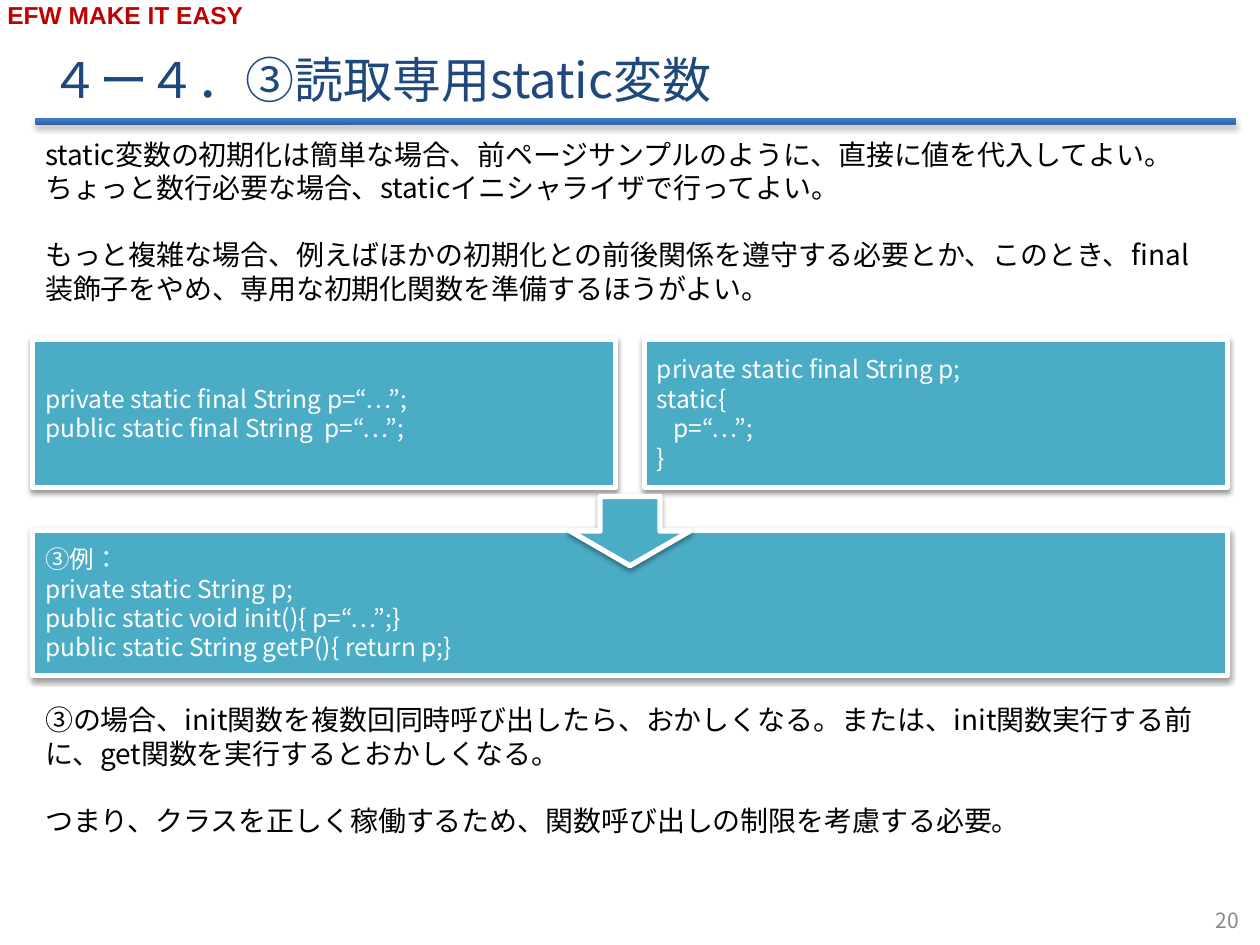
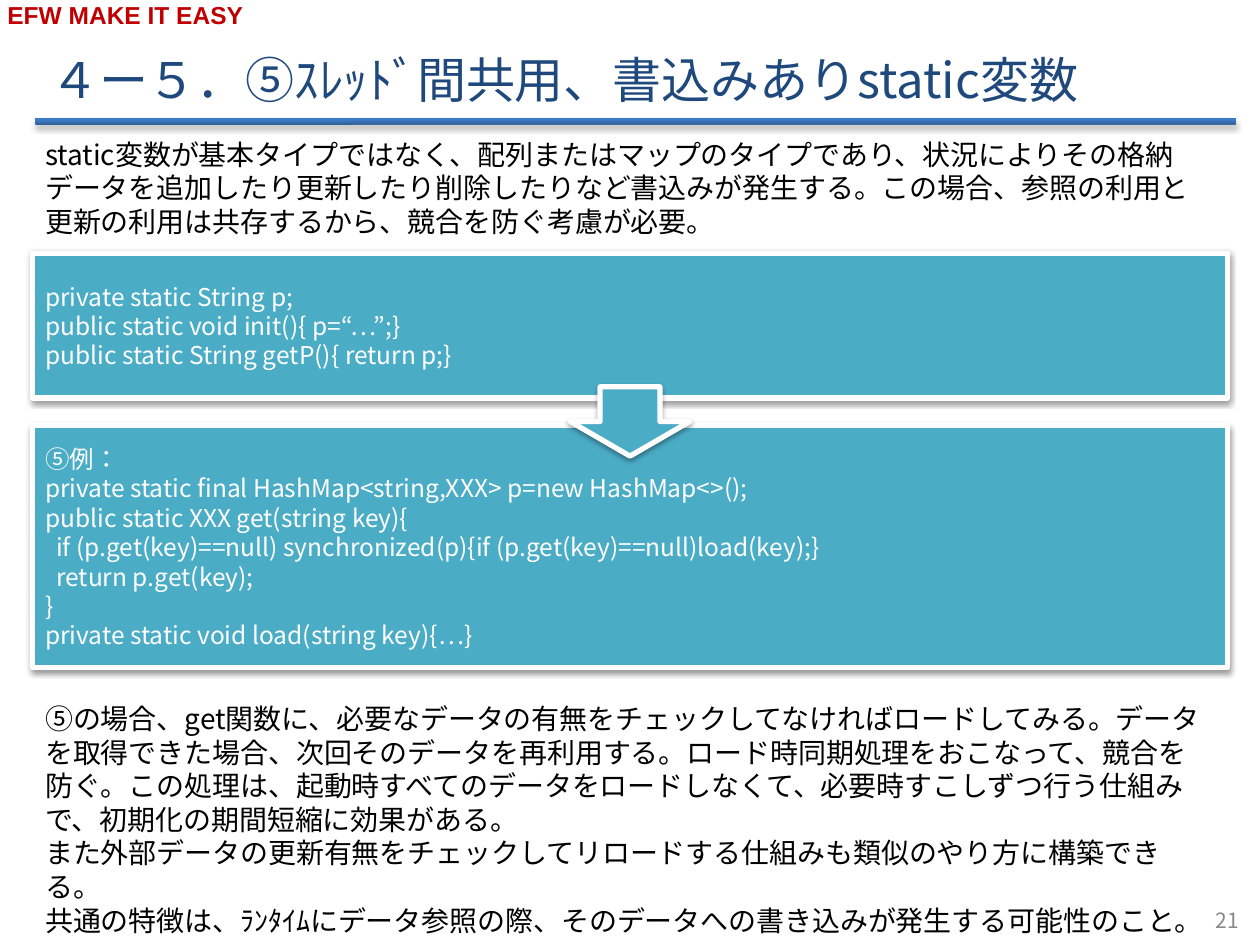
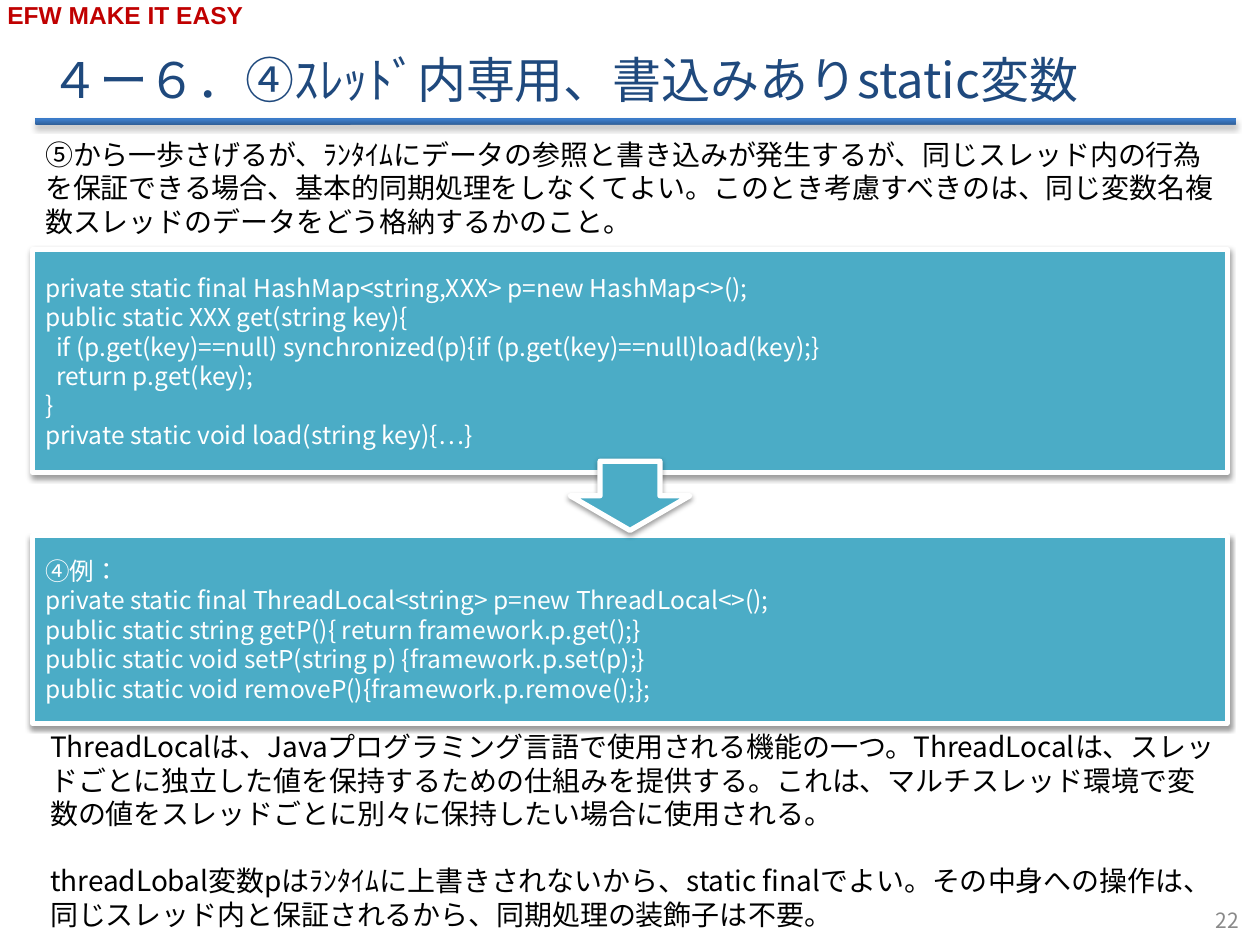
from lxml import etree
from pptx import Presentation
from pptx.dml.color import RGBColor
from pptx.enum.lang import MSO_LANGUAGE_ID
from pptx.enum.shapes import MSO_SHAPE
from pptx.enum.text import MSO_ANCHOR, PP_ALIGN
from pptx.oxml.ns import qn
from pptx.util import Inches, Pt

RECTANGLE, ROUNDED, DOWN_ARROW = MSO_SHAPE.RECTANGLE, MSO_SHAPE.ROUNDED_RECTANGLE, MSO_SHAPE.DOWN_ARROW
TOP, MIDDLE = MSO_ANCHOR.TOP, MSO_ANCHOR.MIDDLE
LEFT, RIGHT = PP_ALIGN.LEFT, PP_ALIGN.RIGHT
JAPANESE = MSO_LANGUAGE_ID.JAPANESE

COLOURS = {
    "title": "1F497D", "brand": "C00000", "number": "898989", "body": "000000",
    "white": "FFFFFF", "code_fill": "4BACC6", "shadow": "000000",
    "rule_dark": "2F5F99", "rule_mid": "3D7CC7", "rule_light": "3A7CCB",
}
RULE_STOPS = [(0, "rule_dark"), (80, "rule_mid"), (100, "rule_light")]
CJK_FONT = "Noto Sans CJK JP"
STYLES = {
    "title": {"size": 28, "name": CJK_FONT, "colour": "title"},
    "brand": {"size": 14, "name": "Arial", "colour": "brand", "bold": True},
    "number": {"size": 12, "name": CJK_FONT, "colour": "number"},
    "body": {"size": 16, "name": CJK_FONT, "colour": "body"},
    "code": {"size": 14, "name": CJK_FONT, "colour": "white"},
}

SLIDE_WIDTH, SLIDE_HEIGHT = 10, 7.5
MARGIN, CONTENT_WIDTH, COLUMN_GAP = 0.26, 9.48, 0.23
ARROW_WIDTH, ARROW_HEIGHT = 0.95, 0.55
BODY_TOP = 1.04
BLANK_LINE = 19.2
FIRST_NUMBER = 20
BRAND = "EFW MAKE IT EASY"

INIT_CODE = [
    "private static String p;",
    "public static void init(){ p=“…”;}",
    "public static String getP(){ return p;}",
]
MAP_CODE = [
    "private static final HashMap<string,XXX> p=new HashMap<>();",
    "public static XXX get(string key){",
    "  if (p.get(key)==null) synchronized(p){if (p.get(key)==null)load(key);}",
    "  return p.get(key);",
    "}",
    "private static void load(string key){…}",
]
DIRECT_CODE = [
    "private static final String p=“…”;",
    "public static final String  p=“…”;",
]
INITIALIZER_CODE = [
    "private static final String p;",
    "static{",
    "   p=“…”;",
    "}",
]
THREAD_LOCAL_CODE = [
    "private static final ThreadLocal<string> p=new ThreadLocal<>();",
    "public static string getP(){ return framework.p.get();}",
    "public static void setP(string p) {framework.p.set(p);}",
    "public static void removeP(){framework.p.remove();};",
]

SLIDES = [
    {
        "title": "４ー４．③読取専用static変数",
        "intro": {"height": 1.45, "gap": BLANK_LINE, "lines": [
            "static変数の初期化は簡単な場合、前ページサンプルのように、直接に値を代入してよい。"
            "ちょっと数行必要な場合、staticイニシャライザで行ってよい。",
            "もっと複雑な場合、例えばほかの初期化との前後関係を遵守する必要とか、このとき、"
            "final装飾子をやめ、専用な初期化関数を準備するほうがよい。",
        ]},
        "notes": {"top": 5.53, "height": 1.18, "gap": BLANK_LINE, "lines": [
            "③の場合、init関数を複数回同時呼び出したら、おかしくなる。"
            "または、init関数実行する前に、get関数を実行するとおかしくなる。",
            "つまり、クラスを正しく稼働するため、関数呼び出しの制限を考慮する必要。",
        ]},
        "before": {"top": 2.69, "height": 1.18, "columns": [DIRECT_CODE, INITIALIZER_CODE]},
        "after": {"top": 4.21, "height": 1.15, "columns": [["③例："] + INIT_CODE]},
        "arrow_top": 3.94,
    },
    {
        "title": "４ー５．⑤ｽﾚｯﾄﾞ間共用、書込みありstatic変数",
        "intro": {"height": 0.91, "lines": [
            "static変数が基本タイプではなく、配列またはマップのタイプであり、"
            "状況によりその格納データを追加したり更新したり削除したりなど書込みが発生する。"
            "この場合、参照の利用と更新の利用は共存するから、競合を防ぐ考慮が必要。",
        ]},
        "notes": {"top": 5.52, "height": 1.96, "fill": "white", "lines": [
            "⑤の場合、get関数に、必要なデータの有無をチェックしてなければロードしてみる。"
            "データを取得できた場合、次回そのデータを再利用する。"
            "ロード時同期処理をおこなって、競合を防ぐ。"
            "この処理は、起動時すべてのデータをロードしなくて、"
            "必要時すこしずつ行う仕組みで、初期化の期間短縮に効果がある。",
            "また外部データの更新有無をチェックしてリロードする仕組みも類似のやり方に構築できる。",
            "共通の特徴は、ﾗﾝﾀｲﾑにデータ参照の際、そのデータへの書き込みが発生する可能性のこと。",
        ]},
        "before": {"top": 2.01, "height": 1.15, "columns": [INIT_CODE]},
        "after": {"top": 3.38, "height": 1.92, "columns": [["⑤例："] + MAP_CODE]},
        "arrow_top": 3.07,
    },
    {
        "title": "４ー６．④ｽﾚｯﾄﾞ内専用、書込みありstatic変数",
        "intro": {"height": 0.91, "lines": [
            "⑤から一歩さげるが、ﾗﾝﾀｲﾑにデータの参照と書き込みが発生するが、"
            "同じスレッド内の行為を保証できる場合、基本的同期処理をしなくてよい。"
            "このとき考慮すべきのは、同じ変数名複数スレッドのデータをどう格納するかのこと。",
        ]},
        "notes": {"left": 0.3, "top": 5.74, "height": 1.72, "fill": "white", "gap": BLANK_LINE, "lines": [
            "ThreadLocalは、Javaプログラミング言語で使用される機能の一つ。"
            "ThreadLocalは、スレッドごとに独立した値を保持するための仕組みを提供する。"
            "これは、マルチスレッド環境で変数の値をスレッドごとに別々に保持したい場合に使用される。",
            "threadLobal変数pはﾗﾝﾀｲﾑに上書きされないから、static finalでよい。"
            "その中身への操作は、同じスレッド内と保証されるから、同期処理の装飾子は不要。",
        ]},
        "before": {"top": 1.98, "height": 1.77, "columns": [MAP_CODE]},
        "after": {"top": 4.25, "height": 1.49, "columns": [["④例："] + THREAD_LOCAL_CODE]},
        "arrow_top": 3.66,
    },
]


def colour(name):
    return RGBColor.from_string(COLOURS[name])


def add_element(parent, tag, **attributes):
    return etree.SubElement(parent, qn(tag), {key: str(value) for key, value in attributes.items()})


def write_lines(shape, lines, style, anchor=TOP, align=LEFT, gap=0, line_spacing=None):
    frame = shape.text_frame
    frame.word_wrap = True
    frame.vertical_anchor = anchor
    values = dict(STYLES[style], language_id=JAPANESE)
    values["size"] = Pt(values["size"])
    text_colour = colour(values.pop("colour"))
    for index, line in enumerate(lines):
        paragraph = frame.paragraphs[0] if index == 0 else frame.add_paragraph()
        paragraph.alignment = align
        paragraph.line_spacing = line_spacing
        paragraph._p.get_or_add_pPr().set("hangingPunct", "0")
        if index and gap:
            paragraph.space_before = Pt(gap)
        run = paragraph.add_run()
        run.text = line
        for name, value in values.items():
            setattr(run.font, name, value)
        run.font.color.rgb = text_colour
        add_element(run.font._element, "a:ea", typeface=values["name"])


def add_text(slide, box, lines, style, fill=None, **layout):
    shape = slide.shapes.add_textbox(*map(Inches, box))
    if fill:
        shape.fill.solid()
        shape.fill.fore_color.rgb = colour(fill)
    write_lines(shape, lines, style, **layout)


def add_shadow(shape, opacity, blur, distance):
    shape.shadow.inherit = False
    effects = shape._element.spPr.find(qn("a:effectLst"))
    shadow = add_element(effects, "a:outerShdw", blurRad=Pt(blur), dist=Pt(distance),
                         dir=5400000, rotWithShape=0)
    shade = add_element(shadow, "a:srgbClr", val=COLOURS["shadow"])
    add_element(shade, "a:alpha", val=opacity * 1000)


def add_panel(slide, preset, box):
    shape = slide.shapes.add_shape(preset, *map(Inches, box))
    shape.fill.solid()
    shape.fill.fore_color.rgb = colour("code_fill")
    shape.line.color.rgb = colour("white")
    shape.line.width = Pt(3)
    add_shadow(shape, 38, 3.1, 1.6)
    return shape


def add_code_row(slide, row):
    columns = row["columns"]
    width = (CONTENT_WIDTH - COLUMN_GAP * (len(columns) - 1)) / len(columns)
    for index, lines in enumerate(columns):
        left = MARGIN + index * (width + COLUMN_GAP)
        panel = add_panel(slide, RECTANGLE, (left, row["top"], width, row["height"]))
        write_lines(panel, lines, "code", anchor=MIDDLE)


def add_body(slide, block):
    box = (block.get("left", MARGIN), block.get("top", BODY_TOP), CONTENT_WIDTH, block["height"])
    add_text(slide, box, block["lines"], "body", fill=block.get("fill"), gap=block.get("gap", 0))


def add_title_rule(slide):
    rule = slide.shapes.add_shape(ROUNDED, *map(Inches, (0.28, 0.94, 9.53, 0.05)))
    rule.line.fill.background()
    rule.fill.gradient()
    gradient = rule._element.spPr.find(qn("a:gradFill"))
    for child in list(gradient):
        gradient.remove(child)
    stops = add_element(gradient, "a:gsLst")
    for position, name in RULE_STOPS:
        stop = add_element(stops, "a:gs", pos=position * 1000)
        add_element(stop, "a:srgbClr", val=COLOURS[name])
    add_element(gradient, "a:lin", ang=270 * 60000, scaled=0)
    add_shadow(rule, 35, 3.1, 1.8)


def add_header(slide, title):
    add_title_rule(slide)
    add_text(slide, (-0.04, -0.05, 3.54, 0.34), [BRAND], "brand")
    add_text(slide, (0.3, 0.3, 9, 0.61), [title], "title", anchor=MIDDLE, line_spacing=1.1)


def add_page_number(slide, number):
    add_text(slide, (7.6, 7.1, 2.33, 0.4), [str(number)], "number", anchor=MIDDLE, align=RIGHT)


def add_arrow(slide, top):
    left = (SLIDE_WIDTH - ARROW_WIDTH) / 2
    add_panel(slide, DOWN_ARROW, (left, top, ARROW_WIDTH, ARROW_HEIGHT))


def main():
    presentation = Presentation()
    presentation.slide_width = Inches(SLIDE_WIDTH)
    presentation.slide_height = Inches(SLIDE_HEIGHT)
    for number, content in enumerate(SLIDES, FIRST_NUMBER):
        slide = presentation.slides.add_slide(presentation.slide_layouts[6])
        add_header(slide, content["title"])
        add_body(slide, content["intro"])
        add_body(slide, content["notes"])
        add_code_row(slide, content["before"])
        add_code_row(slide, content["after"])
        add_arrow(slide, content["arrow_top"])
        add_page_number(slide, number)
    presentation.save("out.pptx")


if __name__ == "__main__":
    main()
